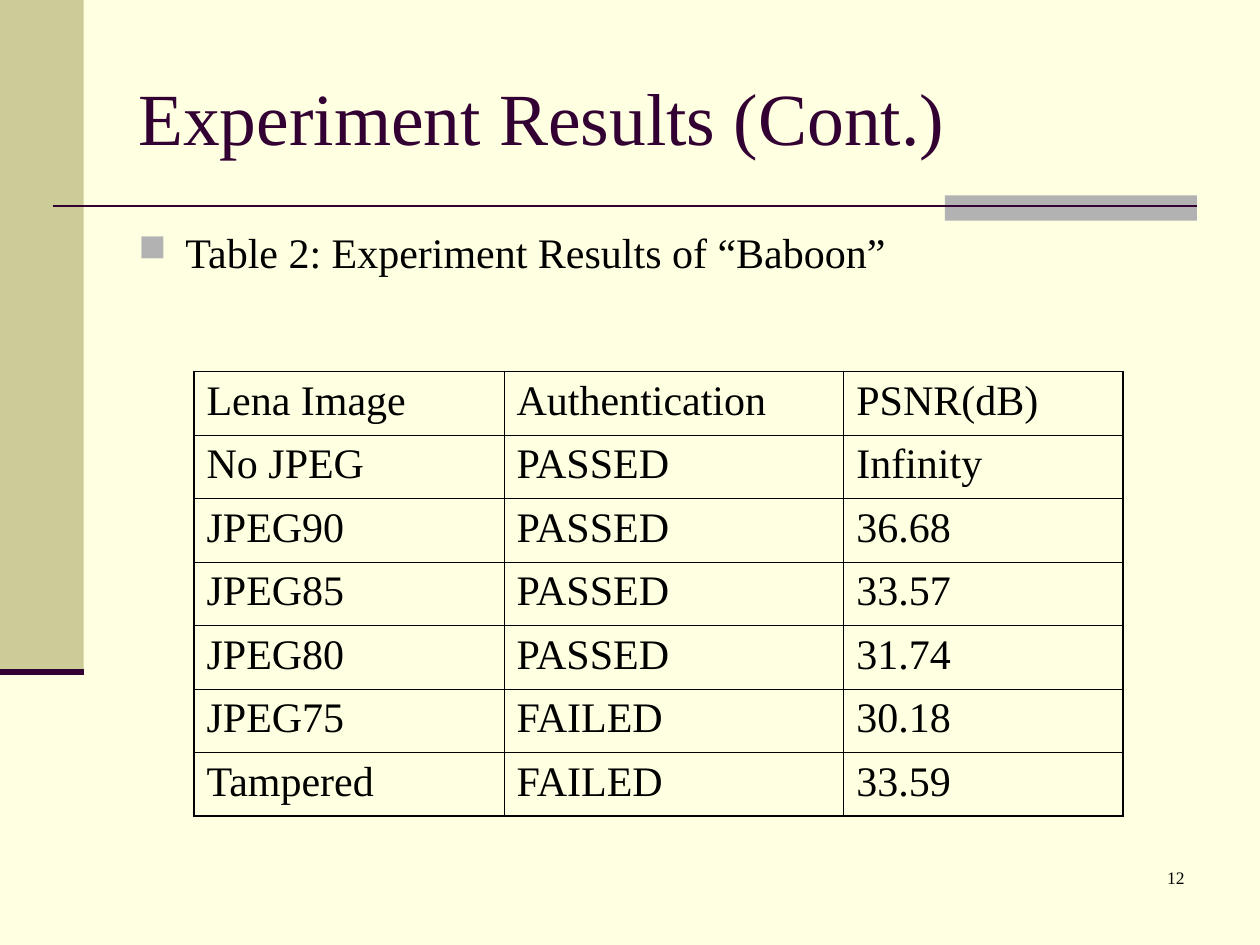
"""Build the experiment results slide with its table of authentication outcomes."""
import pptx
import pptx.dml.color
import pptx.enum.shapes
import pptx.enum.text
import pptx.oxml
import pptx.oxml.ns
import pptx.util
import lxml.etree

Cm = pptx.util.Cm
Pt = pptx.util.Pt
ALIGN = pptx.enum.text.PP_ALIGN
ANCHOR = pptx.enum.text.MSO_ANCHOR

TITLE = "Experiment Results (Cont.)"
CAPTION = "Table 2: Experiment Results of “Baboon”"
PAGE_NUMBER = "12"
ROWS = [
    ("Lena Image", "Authentication", "PSNR(dB)"),
    ("No JPEG", "PASSED", "Infinity"),
    ("JPEG90", "PASSED", "36.68"),
    ("JPEG85", "PASSED", "33.57"),
    ("JPEG80", "PASSED", "31.74"),
    ("JPEG75", "FAILED", "30.18"),
    ("Tampered", "FAILED", "33.59"),
]
COLUMN_WIDTHS = (6.25, 6.85, 5.63)
ROW_HEIGHT = 1.28
OUTER_BORDER, INNER_BORDER = 1.08, 0.45
FONT = "Times New Roman"
COLORS = {
    "background": "FFFFE1",
    "sidebar": "CCCC99",
    "accent": "B2B2B2",
    "title": "330033",
    "text": "000000",
}
BARS = [
    ("sidebar", 0, 0, 1.69, 13.55),
    ("accent", 19.05, 3.94, 5.08, 0.51),
]
RULES = [
    (1.06, 24.13, 4.15, 1.5),
    (0, 1.69, 13.55, 3.5),
]


def rgb(name):
    return pptx.dml.color.RGBColor.from_string(COLORS[name])


def write_text(frame, text, size=24, color="text", align=ALIGN.LEFT,
               anchor=ANCHOR.TOP, bullet=None):
    frame.word_wrap = True
    frame.vertical_anchor = anchor
    paragraph = frame.paragraphs[0]
    paragraph.alignment = align
    if bullet:
        properties = paragraph._p.get_or_add_pPr()
        properties.set("marL", str(Cm(0.95)))
        properties.set("indent", str(-Cm(0.95)))
        bullet_color = lxml.etree.SubElement(properties, pptx.oxml.ns.qn("a:buClr"))
        lxml.etree.SubElement(bullet_color, pptx.oxml.ns.qn("a:srgbClr"), val=COLORS["accent"])
        lxml.etree.SubElement(properties, pptx.oxml.ns.qn("a:buSzPct"), val="90000")
        lxml.etree.SubElement(properties, pptx.oxml.ns.qn("a:buChar"), char=bullet)
    run = paragraph.add_run()
    run.text = text
    run.font.name = FONT
    run.font.size = Pt(size)
    run.font.color.rgb = rgb(color)


def add_text_box(slide, box, text, **text_format):
    shape = slide.shapes.add_textbox(*map(Cm, box))
    write_text(shape.text_frame, text, **text_format)


def add_bar(slide, color, *box):
    shape = slide.shapes.add_shape(pptx.enum.shapes.MSO_SHAPE.RECTANGLE, *map(Cm, box))
    shape.shadow.inherit = False
    shape.fill.solid()
    shape.fill.fore_color.rgb = rgb(color)
    shape.line.fill.background()


def add_rule(slide, left, right, top, width):
    connector = slide.shapes.add_connector(
        pptx.enum.shapes.MSO_CONNECTOR.STRAIGHT, Cm(left), Cm(top), Cm(right), Cm(top))
    connector.line.color.rgb = rgb("title")
    connector.line.width = Pt(width)
    lxml.etree.SubElement(connector._element.spPr, pptx.oxml.ns.qn("a:effectLst"))


def set_borders(cell, outer_sides):
    properties = cell._tc.get_or_add_tcPr()
    for side in "LRTB":
        width = OUTER_BORDER if side in outer_sides else INNER_BORDER
        line = lxml.etree.SubElement(
            properties, pptx.oxml.ns.qn(f"a:ln{side}"), w=str(Pt(width)))
        fill = lxml.etree.SubElement(line, pptx.oxml.ns.qn("a:solidFill"))
        lxml.etree.SubElement(fill, pptx.oxml.ns.qn("a:srgbClr"), val=COLORS["text"])


def add_results_table(slide, left, top):
    last_row, last_column = len(ROWS) - 1, len(COLUMN_WIDTHS) - 1
    table = slide.shapes.add_table(
        len(ROWS), len(COLUMN_WIDTHS), Cm(left), Cm(top),
        Cm(sum(COLUMN_WIDTHS)), Cm(ROW_HEIGHT * len(ROWS))).table
    table.first_row = False
    table.horz_banding = False
    for column, width in zip(table.columns, COLUMN_WIDTHS):
        column.width = Cm(width)
    for row_index, values in enumerate(ROWS):
        table.rows[row_index].height = Cm(ROW_HEIGHT)
        for column_index, value in enumerate(values):
            cell = table.cell(row_index, column_index)
            edges = {"L": column_index == 0, "R": column_index == last_column,
                     "T": row_index == 0, "B": row_index == last_row}
            set_borders(cell, [side for side, outer in edges.items() if outer])
            cell.fill.background()
            write_text(cell.text_frame, value)


def main():
    presentation = pptx.Presentation()
    presentation.slide_width, presentation.slide_height = Cm(25.4), Cm(19.05)
    slide = presentation.slides.add_slide(presentation.slide_layouts[6])
    slide.background.fill.solid()
    slide.background.fill.fore_color.rgb = rgb("background")
    for bar in BARS:
        add_bar(slide, *bar)
    for rule in RULES:
        add_rule(slide, *rule)
    add_text_box(slide, (2.54, 0.76, 21.59, 3.18), TITLE,
                 size=42, color="title", anchor=ANCHOR.MIDDLE)
    add_text_box(slide, (2.54, 4.45, 15.75, 2.29), CAPTION, bullet="■")
    add_results_table(slide, 3.91, 7.49)
    add_text_box(slide, (18.85, 17.35, 5.28, 1.27), PAGE_NUMBER, size=10, align=ALIGN.RIGHT)
    presentation.save("out.pptx")


if __name__ == "__main__":
    main()
